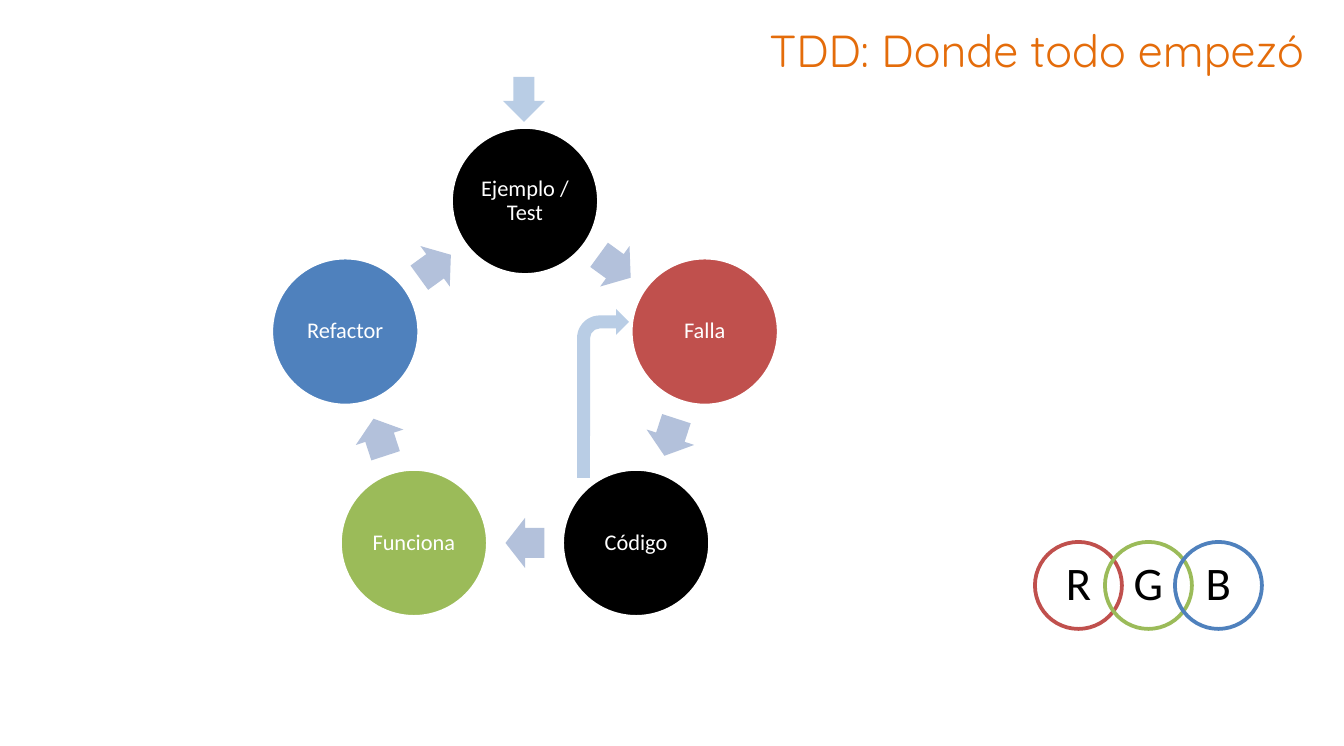
import math

import pptx
import pptx.dml.color
import pptx.enum.shapes
import pptx.enum.text
import pptx.util

PX = 914400 / 134.4
SHAPE = pptx.enum.shapes.MSO_SHAPE
ALIGN = pptx.enum.text.PP_ALIGN
ANCHOR = pptx.enum.text.MSO_ANCHOR

BLACK, WHITE, ORANGE = "000000", "FFFFFF", "E46C0A"
RED, GREEN, BLUE = "C0504D", "9BBB59", "4F81BD"
CYCLE_ARROW, ENTRY_ARROW = "B3C1DB", "B9CDE5"

STEPS = [
    ("Ejemplo / Test", BLACK),
    ("Falla", RED),
    ("Código", BLACK),
    ("Funciona", GREEN),
    ("Refactor", BLUE),
]
RINGS = [("R", RED), ("G", GREEN), ("B", BLUE)]


def px(length):
    """Turn pixels into EMU."""
    return pptx.util.Emu(round(length * PX))


def color(value):
    """Turn a hex string into a colour."""
    return pptx.dml.color.RGBColor.from_string(value)


def write(box, text, *, size, ink, font="Calibri", align=ALIGN.CENTER,
          anchor=ANCHOR.MIDDLE, spacing=0.9, inset=None):
    """Put one formatted paragraph in a shape or text box."""
    frame = box.text_frame
    frame.word_wrap = True
    frame.vertical_anchor = anchor
    if inset is not None:
        frame.margin_left = frame.margin_right = px(inset)
        frame.margin_top = frame.margin_bottom = px(inset)
    para = frame.paragraphs[0]
    para.alignment = align
    para.line_spacing = spacing
    span = para.add_run()
    span.text = text
    span.font.name = font
    span.font.size = pptx.util.Pt(size)
    span.font.color.rgb = color(ink)


def add_shape(shapes, kind, left, top, width, height, *, fill=None, line=None):
    """Add a preset shape with an optional fill and outline."""
    shape = shapes.add_shape(kind, px(left), px(top), px(width), px(height))
    shape.shadow.inherit = False
    if fill:
        shape.fill.solid()
        shape.fill.fore_color.rgb = color(fill)
    else:
        shape.fill.background()
    if line:
        shape.line.color.rgb = color(line)
        shape.line.width = pptx.util.Pt(2)
    else:
        shape.line.fill.background()
    return shape


def add_title(page, text):
    """Add the right-aligned slide title."""
    box = page.shapes.add_textbox(px(47), px(16), px(1270), px(67))
    write(box, text, size=24, ink=ORANGE, font="Quicksand",
          align=ALIGN.RIGHT, anchor=ANCHOR.TOP, spacing=1.0)
    box.text_frame.auto_size = pptx.enum.text.MSO_AUTO_SIZE.SHAPE_TO_FIT_TEXT


def place_on_circle(radius, degrees):
    """Return the point of the cycle at a clockwise angle from the top."""
    angle = math.radians(degrees)
    return 525 + radius * math.sin(angle), 390 - radius * math.cos(angle)


def add_cycle(page):
    """Add the ring of steps with an arrow after each one."""
    shapes = page.shapes.add_group_shape().shapes
    radius, diameter, arrow_width, arrow_height = 189, 148, 39, 50
    turn = 360 / len(STEPS)
    for index, (label, fill) in enumerate(STEPS):
        x, y = place_on_circle(radius, index * turn)
        step = add_shape(shapes, SHAPE.OVAL, x - diameter / 2, y - diameter / 2,
                         diameter, diameter, fill=fill, line=WHITE)
        write(step, label, size=12, ink=WHITE, inset=3)

        heading = (index + 0.5) * turn
        x, y = place_on_circle(radius * math.cos(math.radians(turn / 2)), heading)
        arrow = add_shape(shapes, SHAPE.RIGHT_ARROW, x - arrow_width / 2,
                          y - arrow_height / 2, arrow_width, arrow_height,
                          fill=CYCLE_ARROW)
        arrow.adjustments[0] = 0.6
        arrow.adjustments[1] = 0.5
        arrow.rotation = heading


def add_rings(page):
    """Add the overlapping outlined rings with their letters."""
    shapes = page.shapes.add_group_shape().shapes
    for index, (letter, line) in enumerate(RINGS):
        ring = add_shape(shapes, SHAPE.OVAL, 1035 + 70 * index, 542, 87, 87,
                         line=line)
        write(ring, letter, size=25, ink=BLACK, inset=4)


def main():
    """Build and save the slide."""
    deck = pptx.Presentation()
    deck.slide_width, deck.slide_height = px(1344), px(746)
    page = deck.slides.add_slide(deck.slide_layouts[6])
    add_title(page, "TDD: Donde todo empezó")
    add_cycle(page)
    add_shape(page.shapes, SHAPE.BENT_ARROW, 577, 309, 52, 169, fill=ENTRY_ARROW)
    add_rings(page)
    add_shape(page.shapes, SHAPE.DOWN_ARROW, 503, 77, 42, 45, fill=ENTRY_ARROW)
    deck.save("out.pptx")


if __name__ == "__main__":
    main()
